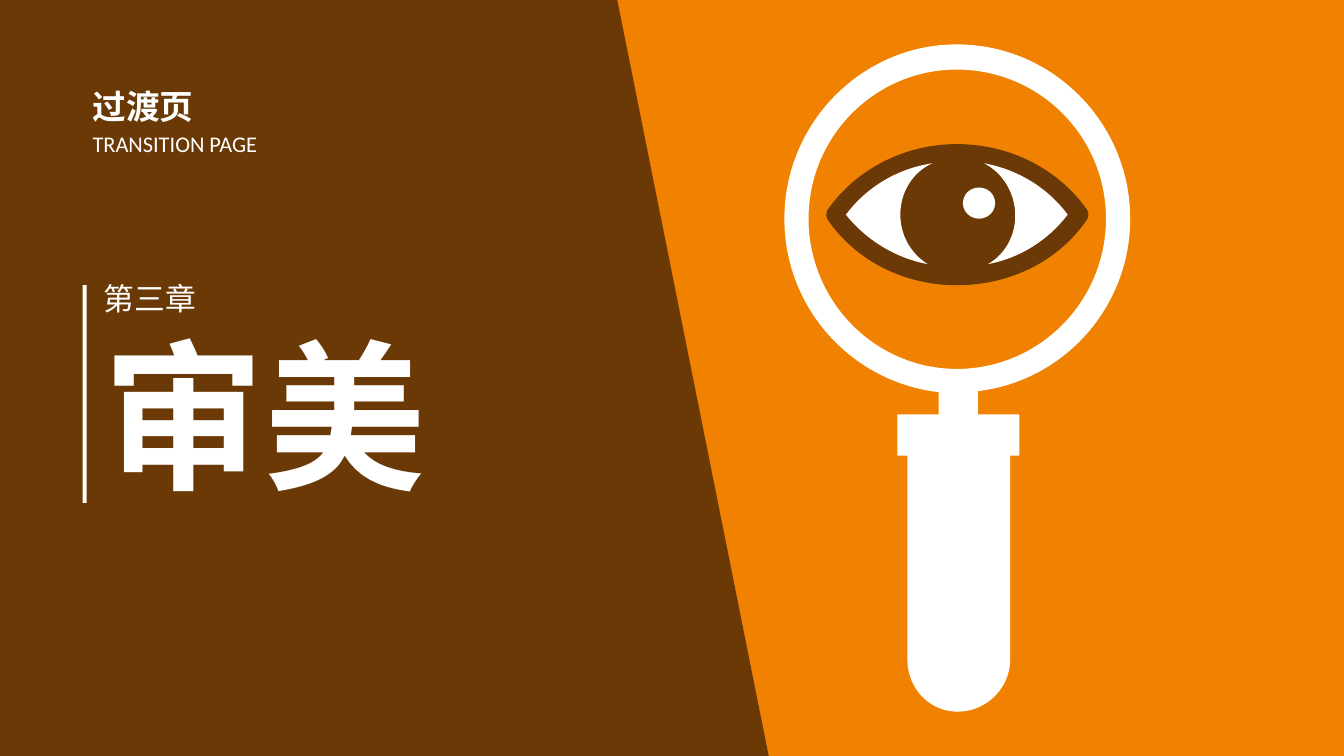
from lxml import etree
from pptx import Presentation
from pptx import util as u
from pptx.dml.color import RGBColor
from pptx.enum import shapes, text
from pptx.oxml.ns import qn

COLS, ROWS = 13.33, 7.5
BROWN, ORANGE, WHITE = "6B3906", "F18101", "FFFFFF"
LATIN, CJK = "Calibri", "Noto Sans CJK SC"
UNITS = 1000  # outline units per grid cell

# Outlines hold a start point, then lines (x, y) and Bezier curves (x1, y1, x2, y2, x, y).
EYE = [(10.78, 2.08),
       (10.5, 1.68, 10.02, 1.43, 9.49, 1.43), (8.97, 1.43, 8.49, 1.68, 8.21, 2.08),
       (8.19, 2.11, 8.19, 2.15, 8.21, 2.18), (8.49, 2.59, 8.97, 2.83, 9.49, 2.83),
       (10.02, 2.83, 10.5, 2.59, 10.78, 2.18), (10.8, 2.15, 10.8, 2.11, 10.78, 2.08)]
LEFT_WHITE = [(8.39, 2.13),
              (8.6, 1.85, 8.91, 1.67, 9.25, 1.62), (9.06, 1.7, 8.93, 1.9, 8.93, 2.13),
              (8.93, 2.34, 9.04, 2.52, 9.2, 2.62), (8.88, 2.56, 8.59, 2.38, 8.39, 2.13)]
RIGHT_WHITE = [(9.8, 2.62),
               (9.96, 2.53, 10.07, 2.35, 10.07, 2.14), (10.07, 1.91, 9.94, 1.71, 9.76, 1.62),
               (10.09, 1.68, 10.39, 1.86, 10.59, 2.13), (10.4, 2.38, 10.12, 2.56, 9.8, 2.62)]
MAGNIFIER = [(11.21, 2.17),
             (11.21, 1.22, 10.44, 0.44, 9.49, 0.44), (8.55, 0.44, 7.78, 1.22, 7.78, 2.17),
             (7.78, 3.06, 8.45, 3.79, 9.31, 3.89),
             (9.31, 4.11), (8.9, 4.11), (8.9, 4.52), (9, 4.52), (9, 6.54),
             (9, 6.83, 9.22, 7.06, 9.5, 7.06), (9.78, 7.06, 10.02, 6.83, 10.02, 6.54),
             (10.02, 4.52), (10.11, 4.52), (10.11, 4.11), (9.7, 4.11), (9.7, 3.88),
             (10.55, 3.78, 11.21, 3.05, 11.21, 2.17)]
LENS = [(8.02, 2.17),
        (8.02, 1.35, 8.68, 0.69, 9.49, 0.69), (10.31, 0.69, 10.97, 1.35, 10.97, 2.17),
        (10.97, 2.99, 10.31, 3.66, 9.49, 3.66), (8.68, 3.66, 8.02, 2.99, 8.02, 2.17)]


def rgb(color):
    return RGBColor.from_string(color)


def points_of(step):
    return [(round(x * UNITS), round(y * UNITS)) for x, y in zip(step[::2], step[1::2])]


def bend(sp, steps):
    """Join each three lines that stand for a curve into one Bezier curve."""
    lines = iter(list(sp.element.iter(qn("a:lnTo"))))
    for step in steps:
        parts = [next(lines) for _ in points_of(step)]
        if len(parts) == 3:
            curve = etree.Element(qn("a:cubicBezTo"))
            parts[0].addprevious(curve)
            for line in parts:
                curve.append(line[0])
                line.getparent().remove(line)


def write(p, content, size, font=LATIN, color=WHITE, bold=False, spacing=1.0):
    p.alignment = text.PP_ALIGN.LEFT
    p.line_spacing = spacing
    r = p.add_run()
    r.text = content
    r.font.size, r.font.name, r.font.bold = u.Pt(size), font, bold
    r.font.color.rgb = rgb(color)
    etree.SubElement(r.font._element, qn("a:ea")).set("typeface", font)


class Slide:
    """One slide on a grid of COLS by ROWS cells."""

    def __init__(self, prs, background):
        self.cell = prs.slide_height / ROWS
        self.s = prs.slides.add_slide(prs.slide_layouts[5])
        self.s.background.fill.solid()
        self.s.background.fill.fore_color.rgb = rgb(background)

    def grid(self, *cells):
        return [u.Emu(round(c * self.cell)) for c in cells]

    def paint(self, sp, color):
        sp.shadow.inherit = False
        sp.fill.solid()
        sp.fill.fore_color.rgb = rgb(color)
        sp.line.fill.background()

    def shape(self, kind, box, color, rotation=0):
        sp = self.s.shapes.add_shape(kind, *self.grid(*box))
        sp.rotation = rotation
        self.paint(sp, color)

    def freeform(self, color, *outlines):
        """Draw one shape; a second outline inside the first is a hole."""
        builder = None
        for start, *steps in outlines:
            (x, y), = points_of(start)
            if builder:
                builder.move_to(x, y)
            else:
                builder = self.s.shapes.build_freeform(x, y, scale=self.cell / UNITS)
            builder.add_line_segments([pt for step in steps for pt in points_of(step)])
        sp = builder.convert_to_shape()
        bend(sp, [step for outline in outlines for step in outline[1:]])
        self.paint(sp, color)

    def fill_text(self, sp, lines, wrap):
        tf = sp.text_frame
        tf.word_wrap = wrap
        tf.auto_size = text.MSO_AUTO_SIZE.SHAPE_TO_FIT_TEXT
        tf.vertical_anchor = text.MSO_ANCHOR.TOP
        for i, (content, style) in enumerate(lines):
            write(tf.add_paragraph() if i else tf.paragraphs[0], content, **style)

    def title(self, box, lines):
        sp = self.s.shapes.title
        sp.left, sp.top, sp.width, sp.height = self.grid(*box)
        sp.element.getparent().append(sp.element)  # bring in front of the panels
        self.fill_text(sp, lines, wrap=False)

    def textbox(self, box, lines):
        self.fill_text(self.s.shapes.add_textbox(*self.grid(*box)), lines, wrap=True)


def main():
    prs = Presentation()
    prs.slide_width, prs.slide_height = u.Inches(COLS), u.Inches(ROWS)
    slide = Slide(prs, ORANGE)
    kinds = shapes.MSO_SHAPE

    def panel(left):
        slide.shape(kinds.FLOWCHART_MANUAL_INPUT, (left, -0.02, 7.52, 7.53), BROWN, rotation=90)

    panel(0.1)
    slide.freeform(BROWN, EYE)
    slide.shape(kinds.OVAL, (9.55, 1.86, 0.32, 0.31), WHITE)
    slide.freeform(WHITE, LEFT_WHITE)
    slide.freeform(WHITE, RIGHT_WHITE)
    slide.freeform(WHITE, MAGNIFIER, LENS)
    panel(0)

    slide.title((0.93, 2.72, 3.43, 2.41), [
        ("第三章", dict(size=22)),
        ("审美", dict(size=115, bold=True))])
    slide.textbox((0.82, 0.76, 2.56, 0.85), [
        ("过渡页", dict(size=24, font=CJK, bold=True, spacing=1.12)),
        ("TRANSITION PAGE", dict(size=16, spacing=1.12))])
    slide.shape(kinds.RECTANGLE, (0.82, 2.83, 0.04, 2.16), WHITE)

    prs.save("out.pptx")


if __name__ == "__main__":
    main()
